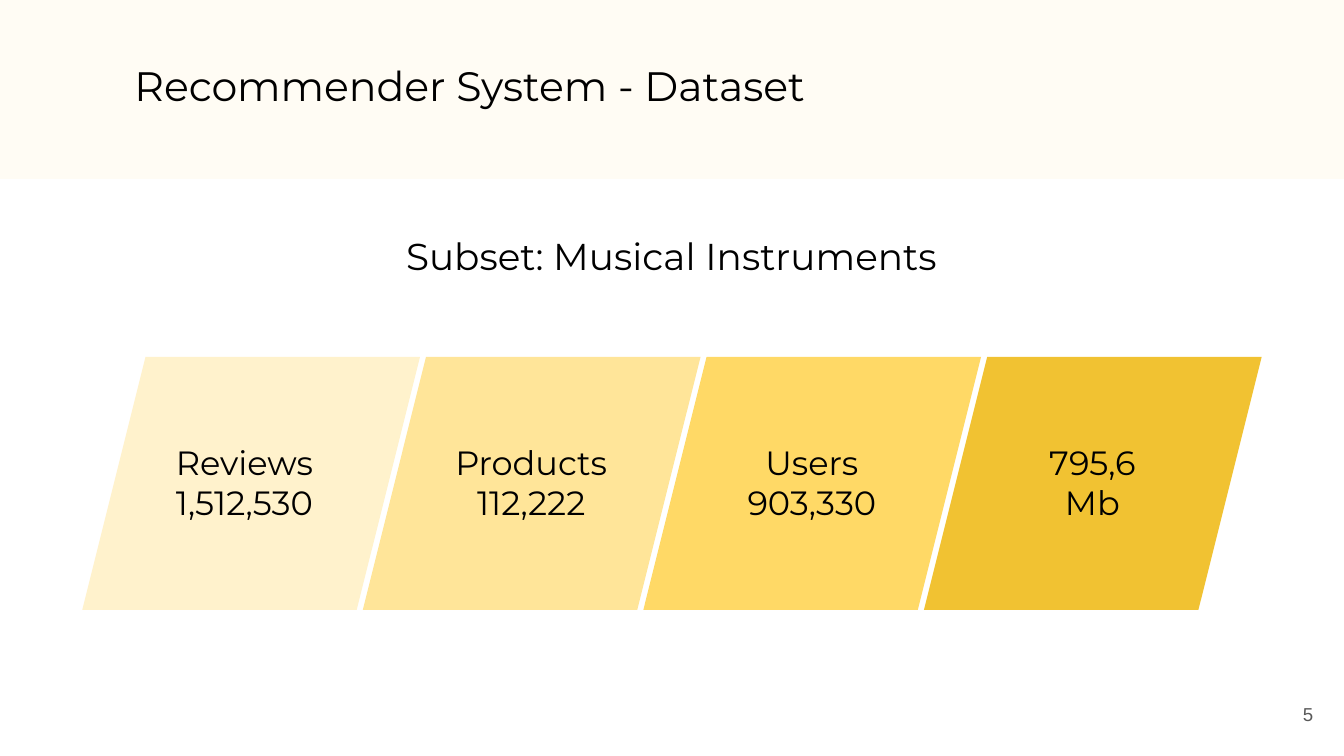
from pptx import Presentation
from pptx.dml.color import RGBColor
from pptx.enum.shapes import MSO_SHAPE
from pptx.enum.text import MSO_ANCHOR, MSO_AUTO_SIZE, PP_ALIGN
from pptx.util import Emu, Pt

RECT, PARALLELOGRAM = MSO_SHAPE.RECTANGLE, MSO_SHAPE.PARALLELOGRAM
LEFT, CENTER, RIGHT = PP_ALIGN.LEFT, PP_ALIGN.CENTER, PP_ALIGN.RIGHT
TOP, MIDDLE = MSO_ANCHOR.TOP, MSO_ANCHOR.MIDDLE
GROW, FIXED = MSO_AUTO_SIZE.SHAPE_TO_FIT_TEXT, MSO_AUTO_SIZE.NONE
TITLE_ONLY = 5
SCALE = 5715  # EMU per px, 160 px to the inch

COLORS = {
    "band": "FFFCF4",
    "reviews": "FFF2CC",
    "products": "FFE599",
    "users": "FFD966",
    "size": "F1C232",
    "text": "000000",
    "number": "595959",
}


def px(n):
    return Emu(n * SCALE)


def write(tf, text, size=18, font="Montserrat", color="text", align=LEFT,
          anchor=TOP, fit=GROW):
    """Fill a text frame, one paragraph per line of text."""
    tf.word_wrap = True
    tf.auto_size = fit
    tf.vertical_anchor = anchor
    tf.margin_left = tf.margin_right = tf.margin_top = tf.margin_bottom = px(16)
    for i, line in enumerate(text.split("\n")):
        p = tf.add_paragraph() if i else tf.paragraphs[0]
        p.alignment = align
        r = p.add_run()
        r.text = line
        r.font.size = Pt(size)
        r.font.name = font
        r.font.color.rgb = RGBColor.from_string(COLORS[color])


class Deck:
    def __init__(self, width, height):
        self.prs = Presentation()
        self.prs.slide_width, self.prs.slide_height = px(width), px(height)
        self.s = self.prs.slides.add_slide(self.prs.slide_layouts[TITLE_ONLY])

    def shape(self, kind, x, y, w, h, color):
        sp = self.s.shapes.add_shape(kind, px(x), px(y), px(w), px(h))
        sp.shadow.inherit = False
        sp.fill.solid()
        sp.fill.fore_color.rgb = RGBColor.from_string(COLORS[color])
        sp.line.fill.background()
        return sp

    def text(self, x, y, w, h, text, **fmt):
        sp = self.s.shapes.add_textbox(px(x), px(y), px(w), px(h))
        write(sp.text_frame, text, **fmt)

    def title(self, x, y, w, h, text, **fmt):
        sp = self.s.shapes.title
        sp.left, sp.top, sp.width, sp.height = px(x), px(y), px(w), px(h)
        write(sp.text_frame, text, **fmt)
        # Bring the title in front of the band
        sp.element.getparent().append(sp.element)


def main():
    deck = Deck(1600, 900)

    # Header
    deck.shape(RECT, 0, 0, 1600, 213, "band")
    deck.title(144, 56, 1405, 91, "Recommender System - Dataset", size=22)
    deck.text(376, 262, 847, 86, "Subset: Musical Instruments", size=20,
              align=CENTER)

    # Row of figures: colour, label, label offset and width
    tiles = [
        ("reviews", "Reviews\n1,512,530", 54, 278),
        ("products", "Products\n112,222", 70, 261),
        ("users", "Users\n903,330", 70, 261),
        ("size", "795,6\nMb", 70, 261),
    ]
    for i, (color, label, offset, width) in enumerate(tiles):
        x = 98 + i * 334
        tile = deck.shape(PARALLELOGRAM, x, 425, 402, 301, color)
        tile.adjustments[0] = 0.25
        deck.text(x + offset, 510, width, 130, label, align=CENTER)

    # Slide number
    deck.text(1483, 816, 96, 69, "5", size=10, font="Arial", color="number",
              align=RIGHT, anchor=MIDDLE, fit=FIXED)

    deck.prs.save("out.pptx")


if __name__ == "__main__":
    main()
